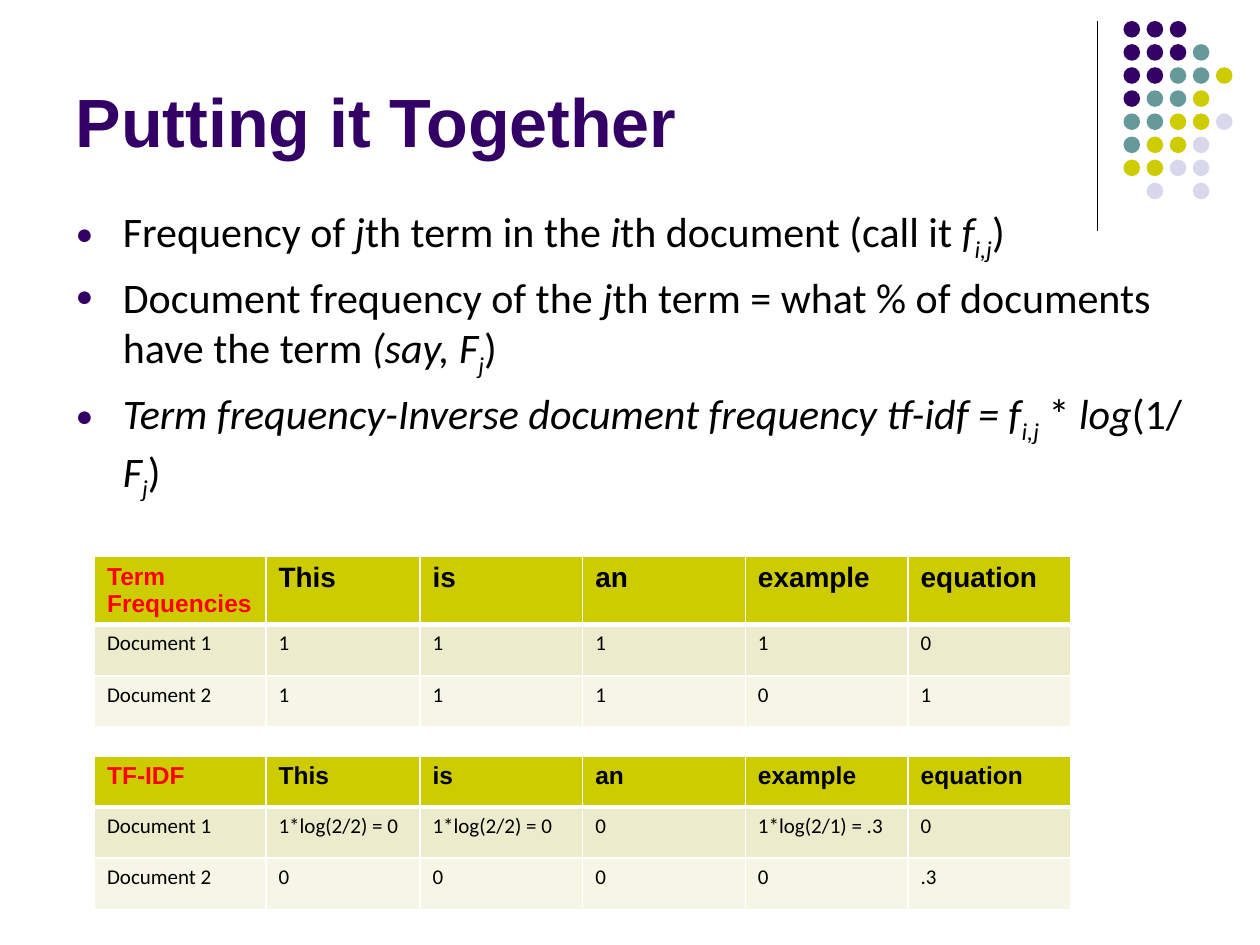
"""Build the slide on term frequency and TF-IDF."""
from dataclasses import dataclass

from lxml import etree
from pptx import Presentation, util as u
from pptx.dml.color import RGBColor
from pptx.enum import shapes, text
from pptx.oxml.ns import qn


@dataclass(frozen=True)
class Theme:
    purple: str = "330066"
    teal: str = "669999"
    lime: str = "CCCC00"
    lavender: str = "D8D8EC"
    band: str = "ECECCC"
    pale: str = "F6F6E7"
    red: str = "FF0000"
    black: str = "000000"
    white: str = "FFFFFF"
    heading: str = "Arial"
    body: str = "Calibri"
    title_size: int = 39
    list_size: int = 24
    head_size: int = 16
    label_size: int = 14
    cell_size: int = 12


class SlideWriter:
    def __init__(self, deck, theme):
        self.theme = theme
        self.slide = deck.slides.add_slide(deck.slide_layouts[1])

    def run(self, paragraph, words, size, font, color, bold=False, style=""):
        run = paragraph.add_run()
        run.text = words
        run.font.size, run.font.name = u.Pt(size), font
        run.font.bold, run.font.italic = bold, "i" in style
        run.font.color.rgb = RGBColor.from_string(color)
        if "s" in style:
            run._r.get_or_add_rPr().set("baseline", "-25000")

    def place(self, holder, left, top, width, height, anchor):
        holder.left, holder.top = u.Pt(left), u.Pt(top)
        holder.width, holder.height = u.Pt(width), u.Pt(height)
        frame = holder.text_frame
        frame.word_wrap = True
        frame.auto_size = text.MSO_AUTO_SIZE.NONE
        frame.vertical_anchor = anchor
        return frame

    def title(self, words, *box):
        frame = self.place(self.slide.shapes.title, *box, text.MSO_ANCHOR.BOTTOM)
        heading = frame.paragraphs[0]
        heading.alignment = text.PP_ALIGN.LEFT
        self.run(heading, words, self.theme.title_size, self.theme.heading,
                 self.theme.purple, bold=True)

    def bullets(self, points, *box):
        frame = self.place(self.slide.placeholders[1], *box, text.MSO_ANCHOR.TOP)
        for index, pieces in enumerate(points):
            point = frame.add_paragraph() if index else frame.paragraphs[0]
            self.bullet(point)
            for words, style in pieces:
                self.run(point, words, self.theme.list_size, self.theme.body,
                         self.theme.black, style=style)

    def bullet(self, point):
        props = point._p.get_or_add_pPr()
        props.set("marL", str(u.Pt(27)))
        props.set("indent", str(-u.Pt(27)))
        tint = etree.SubElement(props, qn("a:buClr"))
        etree.SubElement(tint, qn("a:srgbClr"), val=self.theme.purple)
        etree.SubElement(props, qn("a:buSzPct"), val="70000")
        etree.SubElement(props, qn("a:buFont"), typeface=self.theme.heading)
        etree.SubElement(props, qn("a:buChar"), char="●")

    def rule(self, x, top, bottom):
        rule = self.slide.shapes.add_connector(
            shapes.MSO_CONNECTOR.STRAIGHT, u.Pt(x), u.Pt(top), u.Pt(x), u.Pt(bottom))
        rule.line.color.rgb = RGBColor.from_string(self.theme.black)
        rule.line.width = u.Pt(0.75)
        etree.SubElement(rule._element.spPr, qn("a:effectLst"))

    def dots(self, pattern, colors, left, top, pitch, size):
        cluster = self.slide.shapes.add_group_shape()
        for row, marks in enumerate(pattern):
            for column, mark in enumerate(marks):
                if mark not in colors:
                    continue
                dot = cluster.shapes.add_shape(
                    shapes.MSO_SHAPE.OVAL, u.Pt(left + column * pitch),
                    u.Pt(top + row * pitch), u.Pt(size), u.Pt(size))
                dot.shadow.inherit = False
                dot.fill.solid()
                dot.fill.fore_color.rgb = RGBColor.from_string(colors[mark])
                dot.line.fill.background()

    def table(self, rows, left, top, widths, heights, head_size):
        theme = self.theme
        grid = self.slide.shapes.add_table(
            len(rows), len(widths), u.Pt(left), u.Pt(top),
            u.Pt(sum(widths)), u.Pt(sum(heights))).table
        for column, width in zip(grid.columns, widths):
            column.width = u.Pt(width)
        for row, height in zip(grid.rows, heights):
            row.height = u.Pt(height)
        for r, values in enumerate(rows):
            for c, value in enumerate(values):
                cell = grid.cell(r, c)
                self.borders(cell, 3 if r == 1 else 1, 3 if r == 0 else 1)
                cell.fill.solid()
                cell.fill.fore_color.rgb = RGBColor.from_string(
                    (theme.lime, theme.band, theme.pale)[r])
                if r:
                    look = theme.cell_size, theme.body, theme.black
                elif c:
                    look = head_size, theme.heading, theme.black
                else:
                    look = theme.label_size, theme.heading, theme.red
                self.run(cell.text_frame.paragraphs[0], value, *look, bold=r == 0)

    def borders(self, cell, above, below):
        props = cell._tc.get_or_add_tcPr()
        for side, width in (("L", 1), ("R", 1), ("T", above), ("B", below)):
            edge = etree.SubElement(props, qn(f"a:ln{side}"), w=str(u.Pt(width)))
            paint = etree.SubElement(edge, qn("a:solidFill"))
            etree.SubElement(paint, qn("a:srgbClr"), val=self.theme.white)


POINTS = [
    [("Frequency of ", ""), ("j", "i"), ("th term in the ", ""), ("i", "i"),
     ("th document (call it ", ""), ("f", "i"), ("i,j", "is"), (")", "")],
    [("Document frequency of the ", ""), ("j", "i"),
     ("th term = what % of documents have the term ", ""),
     ("(say, F", "i"), ("j", "is"), (")", "")],
    [("Term frequency-Inverse document frequency tf-idf = f", "i"), ("i,j", "is"),
     (" * ", ""), ("log", "i"), ("(1/", ""), (" F", "i"), ("j", "is"), (")", "")],
]
TERMS = ["This ", "is", "an", "example", "equation"]
FREQUENCIES = [
    ["Term Frequencies", *TERMS],
    ["Document 1", "1", "1", "1", "1", "0"],
    ["Document 2", "1", "1", "1", "0", "1"],
]
TF_IDF = [
    ["TF-IDF", *TERMS],
    ["Document 1", "1*log(2/2) = 0", "1*log(2/2) = 0", "0", "1*log(2/1) = .3", "0"],
    ["Document 2", "0", "0", "0", "0", ".3"],
]
DOTS = ["PPP", "PPPT", "PPTTL", "PTTL", "TTLLV", "TLLV", "LLVV", " V V"]
WIDTHS = [98, 88, 93, 93, 93, 93]
ROW = 29.2

theme = Theme()
deck = Presentation()
deck.slide_width, deck.slide_height = u.Pt(720), u.Pt(540)
writer = SlideWriter(deck, theme)
writer.rule(627, 12, 132)
writer.dots(DOTS, {"P": theme.purple, "T": theme.teal, "L": theme.lime,
                   "V": theme.lavender}, 642, 12, 13.2, 9.5)
writer.title("Putting it Together", 36, -6, 594, 102)
writer.bullets(POINTS, 36, 114, 648, 347)
writer.table(FREQUENCIES, 54, 318, WIDTHS, [39, ROW, ROW], theme.head_size)
writer.table(TF_IDF, 54, 432, WIDTHS, [ROW] * 3, theme.label_size)
deck.save("out.pptx")
